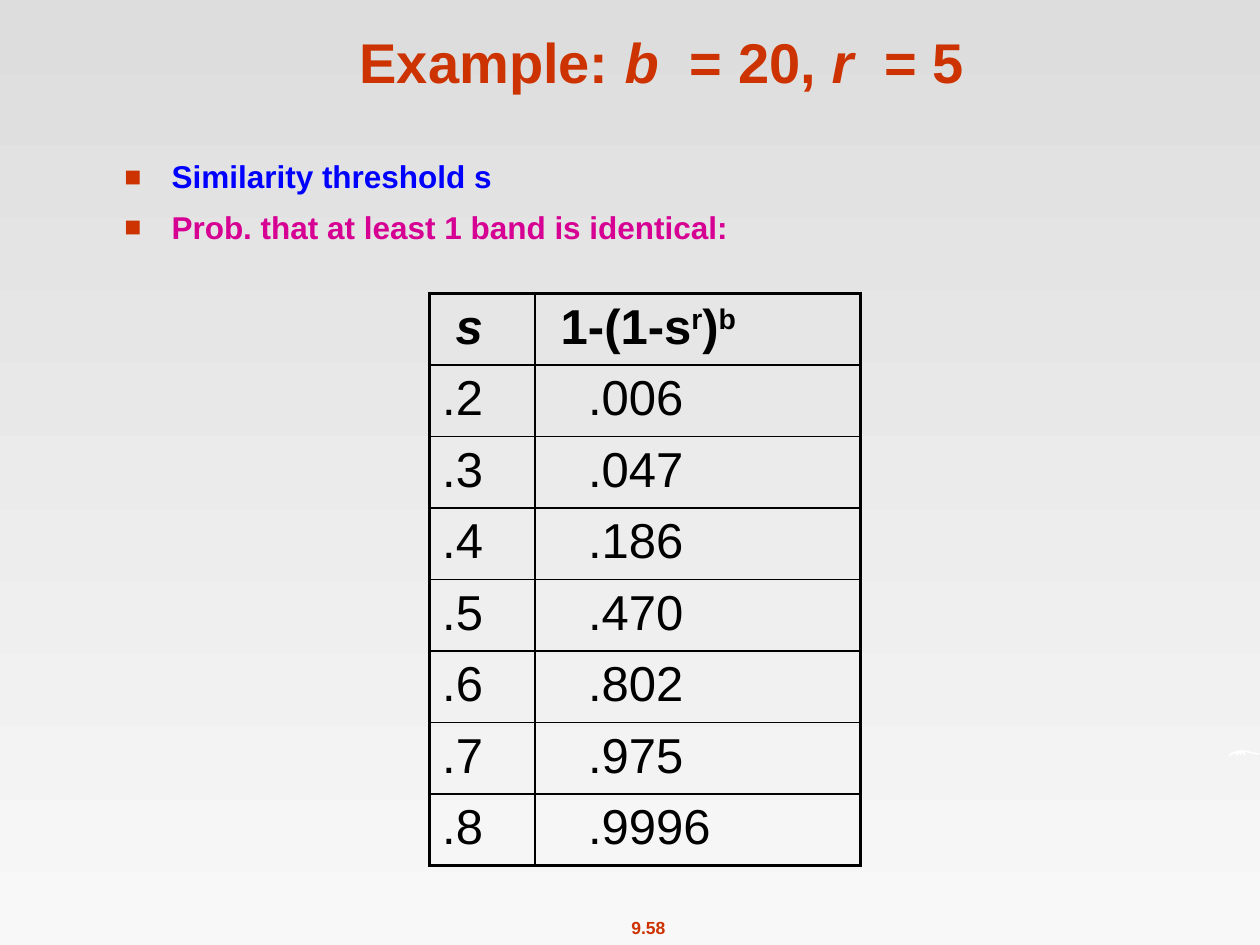
"""Build the slide on band similarity with its table of odds."""
from dataclasses import dataclass

from lxml.etree import SubElement
from pptx import Presentation
from pptx.dml.color import RGBColor
from pptx.enum.text import MSO_ANCHOR, PP_ALIGN
from pptx.oxml import parse_xml
from pptx.oxml.ns import nsdecls, qn
from pptx.util import Cm, Pt


@dataclass(frozen=True)
class Theme:
    """Hold the colours, type sizes and line widths."""
    font: str = "Arial"
    red: str = "CC3300"
    blue: str = "0000FF"
    pink: str = "D60093"
    black: str = "000000"
    white: str = "FFFFFF"
    top: str = "DDDDDD"
    base: str = "F8F8F8"
    title: float = 32
    body: float = 18
    cell: float = 28
    foot: float = 10
    thick: float = 2.25
    thin: float = 1


THEME = Theme()
ROWS = [(".2", ".006"), (".3", ".047"), (".4", ".186"), (".5", ".470"),
        (".6", ".802"), (".7", ".975"), (".8", ".9996")]
SWOOSH = [(24.77, 15.27), (24.79, 15.19), (24.87, 15.16), (25, 15.12),
          (25.13, 15.13), (25.27, 15.17), (25.4, 15.19), (25.37, 15.22),
          (25.25, 15.19), (25.1, 15.16), (25.1, 15.24), (25.02, 15.16),
          (25.02, 15.24), (24.95, 15.16), (24.97, 15.24), (24.89, 15.19),
          (24.82, 15.22)]


def write(para, text, size, color, bold=True, italic=False, lift=0):
    """Add one run of text in the given format."""
    run = para.add_run()
    run.text = text
    font = run.font
    font.name, font.size = THEME.font, Pt(size)
    font.bold, font.italic = bold, italic
    font.color.rgb = RGBColor.from_string(color)
    if lift:
        font._element.set("baseline", str(lift * 1000))


def add_box(slide, left, top, width, height, wrap=True, anchor=MSO_ANCHOR.TOP):
    """Add a text box and return its text frame."""
    box = slide.shapes.add_textbox(Cm(left), Cm(top), Cm(width), Cm(height))
    frame = box.text_frame
    frame.word_wrap, frame.vertical_anchor = wrap, anchor
    return frame


def indent(para, left, first=0):
    """Set the left margin and first-line indent of a paragraph."""
    props = para._p.get_or_add_pPr()
    props.set("marL", str(Cm(left)))
    props.set("indent", str(Cm(first)))
    return props


def add_list(slide, items):
    """Add the list with square bullets."""
    frame = add_box(slide, 2.26, 3.05, 21.29, 2.5)
    for index, (text, color) in enumerate(items):
        para = frame.add_paragraph() if index else frame.paragraphs[0]
        para.space_after = Pt(7.2)
        props = indent(para, 0.95, -0.95)
        tint = SubElement(props, qn("a:buClr"))
        SubElement(tint, qn("a:srgbClr"), val=THEME.red)
        SubElement(props, qn("a:buSzPct"), val="90000")
        SubElement(props, qn("a:buFont"), typeface=THEME.font)
        SubElement(props, qn("a:buChar"), char="■")
        write(para, text, THEME.body, color)


def edge(cell, **widths):
    """Draw the cell borders, given as side and width."""
    props = cell._tc.get_or_add_tcPr()
    for index, (side, width) in enumerate(widths.items()):
        props.insert(index, parse_xml(
            f'<a:ln{side} {nsdecls("a")} w="{Pt(width)}"><a:solidFill>'
            f'<a:srgbClr val="{THEME.black}"/></a:solidFill></a:ln{side}>'))


def add_grid(slide):
    """Add the table of similarity and odds."""
    count = len(ROWS) + 1
    frame = slide.shapes.add_table(
        count, 2, Cm(8.66), Cm(5.92), Cm(8.69), Cm(1.41 * count))
    table = frame.table
    table.first_row = table.horz_banding = False
    for col, width in zip(table.columns, (2.12, 6.57)):
        col.width = Cm(width)
    head = [[("s", {"italic": True})],
            [("1-(1-s", {}), ("r", {"lift": 30}),
             (")", {}), ("b", {"lift": 30})]]
    body = [[[(text, {"bold": False})] for text in row] for row in ROWS]
    pads = [(0.27, 0.27)] + [(0, 0.82)] * len(ROWS)
    for y, row in enumerate([head] + body):
        table.rows[y].height = Cm(1.41)
        for x, runs in enumerate(row):
            cell = table.cell(y, x)
            cell.fill.background()
            rim = {"L": x == 0, "R": x == 1, "T": y == 0, "B": y == count - 1}
            edge(cell, **{side: THEME.thick if outer else THEME.thin
                          for side, outer in rim.items()})
            para = cell.text_frame.paragraphs[0]
            indent(para, pads[y][x])
            for text, style in runs:
                write(para, text, THEME.cell, THEME.black, **style)


def add_swoosh(slide):
    """Add the small white stroke at the right edge."""
    first, *rest = [(Cm(x), Cm(y)) for x, y in SWOOSH]
    maker = slide.shapes.build_freeform(*first)
    maker.add_line_segments(rest, close=True)
    shape = maker.convert_to_shape()
    shape.shadow.inherit = False
    shape.fill.solid()
    shape.fill.fore_color.rgb = RGBColor.from_string(THEME.white)
    shape.line.fill.background()


def paint(slide):
    """Fill the background from top to base."""
    fill = slide.background.fill
    fill.gradient()
    fill.gradient_angle = 270
    for stop, color in zip(fill.gradient_stops, (THEME.top, THEME.base)):
        stop.color.rgb = RGBColor.from_string(color)


def main():
    """Build and save the slide."""
    deck = Presentation()
    deck.slide_width, deck.slide_height = Cm(25.4), Cm(19.05)
    slide = deck.slides.add_slide(deck.slide_layouts[6])
    paint(slide)
    foot = add_box(slide, 12.45, 18.36, 1.24, 0.69, wrap=False).paragraphs[0]
    foot.alignment = PP_ALIGN.CENTER
    write(foot, "9.58", THEME.foot, THEME.red)
    add_swoosh(slide)
    title = add_box(slide, 2.13, 0.33, 22.43, 1.7,
                    anchor=MSO_ANCHOR.BOTTOM).paragraphs[0]
    title.alignment = PP_ALIGN.CENTER
    for index, text in enumerate(["Example: ", "b", "  = 20, ", "r", "  = 5"]):
        write(title, text, THEME.title, THEME.red, italic=index % 2 == 1)
    add_list(slide, [
        ("Similarity threshold s", THEME.blue),
        ("Prob. that at least 1 band is identical:", THEME.pink)])
    add_grid(slide)
    deck.save("out.pptx")


if __name__ == "__main__":
    main()
